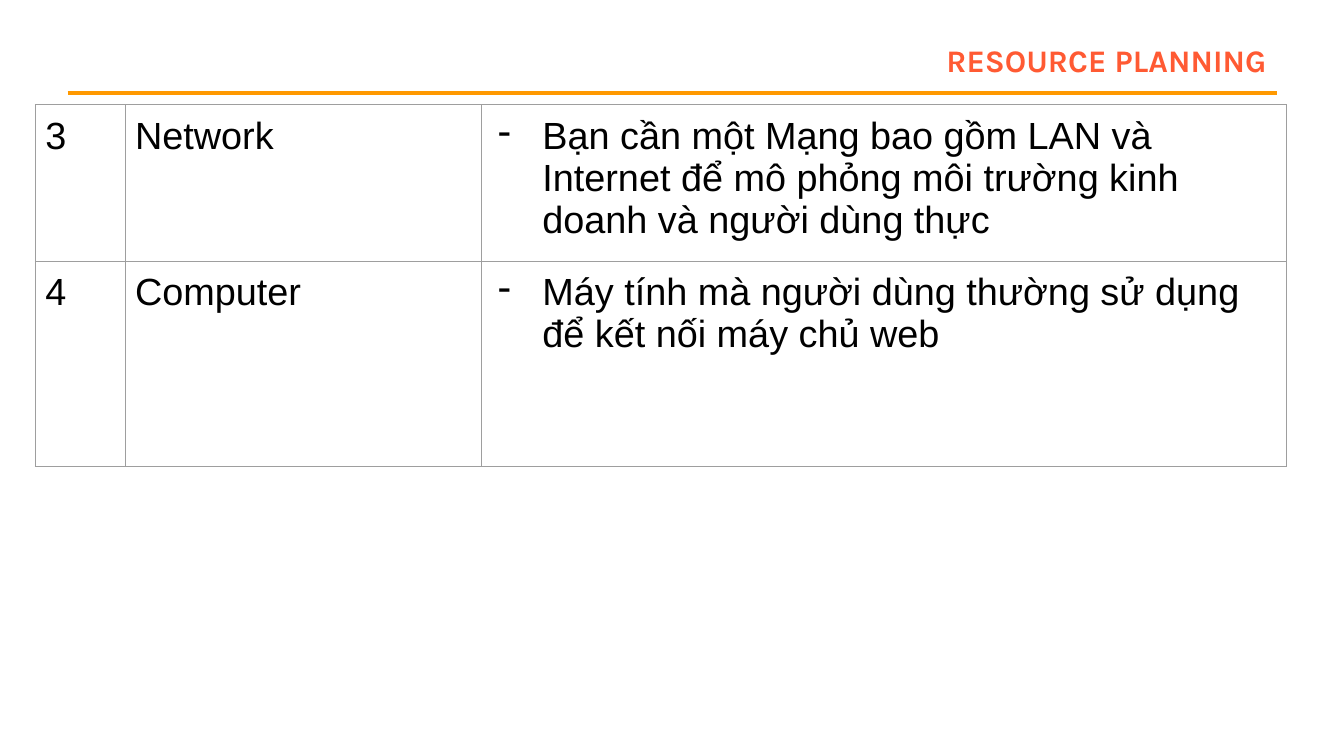
"""Build the resource planning slide with its ruled title and table."""
from dataclasses import dataclass

from lxml.etree import SubElement
from pptx import Presentation
from pptx.dml.color import RGBColor
from pptx.enum.shapes import MSO_CONNECTOR as Line
from pptx.enum.text import MSO_ANCHOR as Anchor, PP_ALIGN as Align
from pptx.oxml.ns import qn
from pptx.slide import Slide
from pptx.table import _Cell as Cell
from pptx.util import Inches, Pt

BLACK = RGBColor(0x00, 0x00, 0x00)
CORAL = RGBColor(0xFF, 0x5A, 0x33)
AMBER = RGBColor(0xFF, 0x99, 0x00)
GRAY = RGBColor(0x9E, 0x9E, 0x9E)
WIDTHS = (0.89, 3.54, 7.98)


@dataclass(frozen=True)
class Item:
    number: str
    name: str
    detail: str
    height: float


ITEMS = (
    Item("3", "Network", "Bạn cần một Mạng bao gồm LAN và Internet để mô phỏng "
         "môi trường kinh doanh và người dùng thực", 1.33),
    Item("4", "Computer", "Máy tính mà người dùng thường sử dụng để kết nối "
         "máy chủ web", 2.04),
)


def add_rule(slide: Slide) -> None:
    rule = slide.shapes.add_connector(
        Line.STRAIGHT, Inches(0.67), Inches(0.92), Inches(12.67), Inches(0.92))
    rule.line.color.rgb = AMBER
    rule.line.width = Pt(3)
    SubElement(rule._element.spPr, qn("a:effectLst"))


def add_title(slide: Slide) -> None:
    box = slide.shapes.add_textbox(
        Inches(2.44), Inches(0.3), Inches(10.22), Inches(0.53))
    frame = box.text_frame
    frame.word_wrap = True
    frame.vertical_anchor = Anchor.MIDDLE
    para = frame.paragraphs[0]
    para.alignment = Align.RIGHT
    run = para.add_run()
    run.text = "resource planning"
    run._r.get_or_add_rPr().set("cap", "small")
    font = para.font
    font.name, font.size, font.bold = "Karla", Pt(28), True
    font.color.rgb = CORAL


def add_edges(cell: Cell) -> None:
    props = cell._tc.get_or_add_tcPr()
    for side in ("lnL", "lnR", "lnT", "lnB"):
        edge = SubElement(props, qn(f"a:{side}"), w=str(Pt(0.75)))
        fill = SubElement(edge, qn("a:solidFill"))
        SubElement(fill, qn("a:srgbClr"), val=str(GRAY))


def fill_cell(cell: Cell, text: str, dash: bool) -> None:
    add_edges(cell)
    cell.fill.background()
    cell.margin_left = cell.margin_right = Inches(0.1)
    cell.margin_top = cell.margin_bottom = Inches(0.1)
    cell.text = text
    para = cell.text_frame.paragraphs[0]
    if dash:
        props = para._p.get_or_add_pPr()
        props.set("marL", str(Inches(0.5)))
        props.set("indent", str(Inches(-0.44)))
        tint = SubElement(props, qn("a:buClr"))
        SubElement(tint, qn("a:srgbClr"), val=str(BLACK))
        SubElement(props, qn("a:buChar"), char="-")
    font = para.font
    font.name, font.size = "Arial", Pt(27)
    font.color.rgb = BLACK


def add_items(slide: Slide) -> None:
    table = slide.shapes.add_table(
        len(ITEMS), len(WIDTHS), Inches(0.35), Inches(1.04),
        Inches(sum(WIDTHS)), Inches(sum(item.height for item in ITEMS))).table
    table.first_row = table.horz_banding = False
    for column, width in zip(table.columns, WIDTHS):
        column.width = Inches(width)
    for row, item in zip(table.rows, ITEMS):
        row.height = Inches(item.height)
        texts = (item.number, item.name, item.detail)
        for cell, text in zip(row.cells, texts):
            fill_cell(cell, text, text == item.detail)


def main() -> None:
    deck = Presentation()
    deck.slide_width, deck.slide_height = Inches(13.33), Inches(7.5)
    slide = deck.slides.add_slide(deck.slide_layouts[6])
    add_rule(slide)
    add_title(slide)
    add_items(slide)
    deck.save("out.pptx")


if __name__ == "__main__":
    main()
